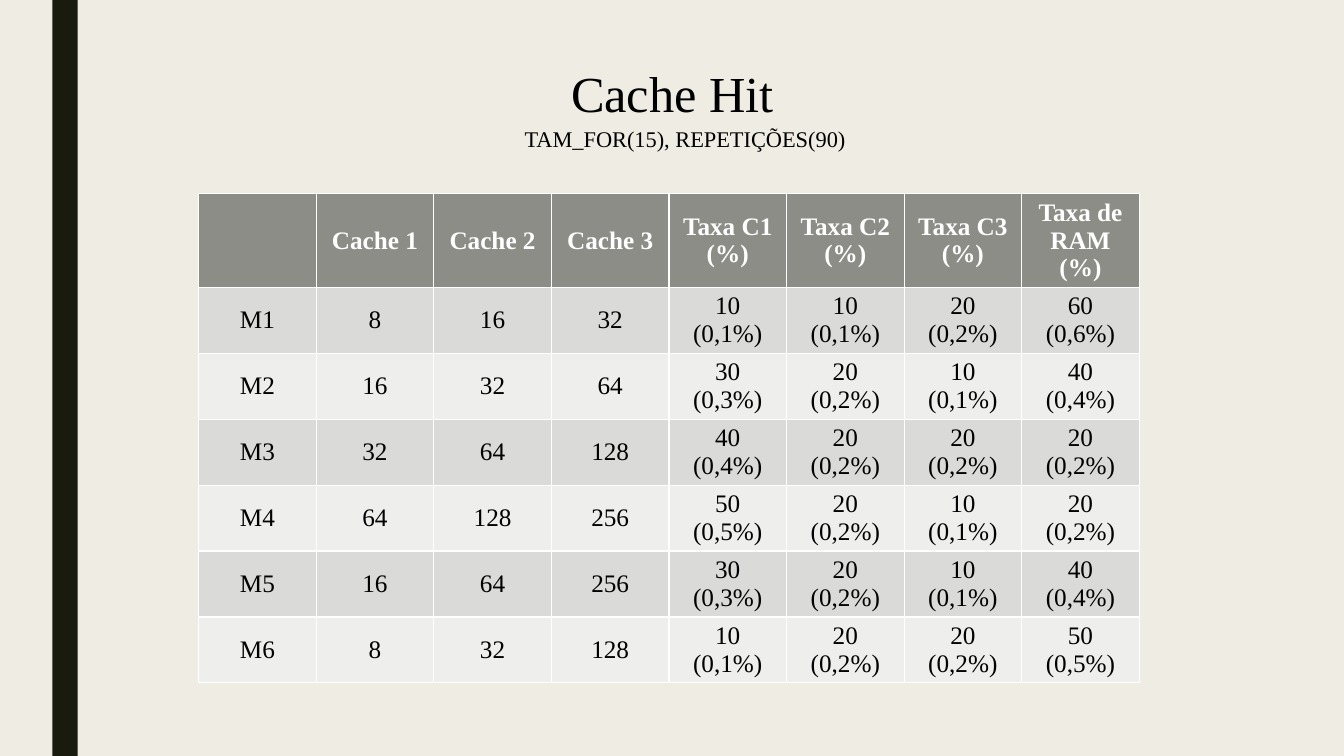
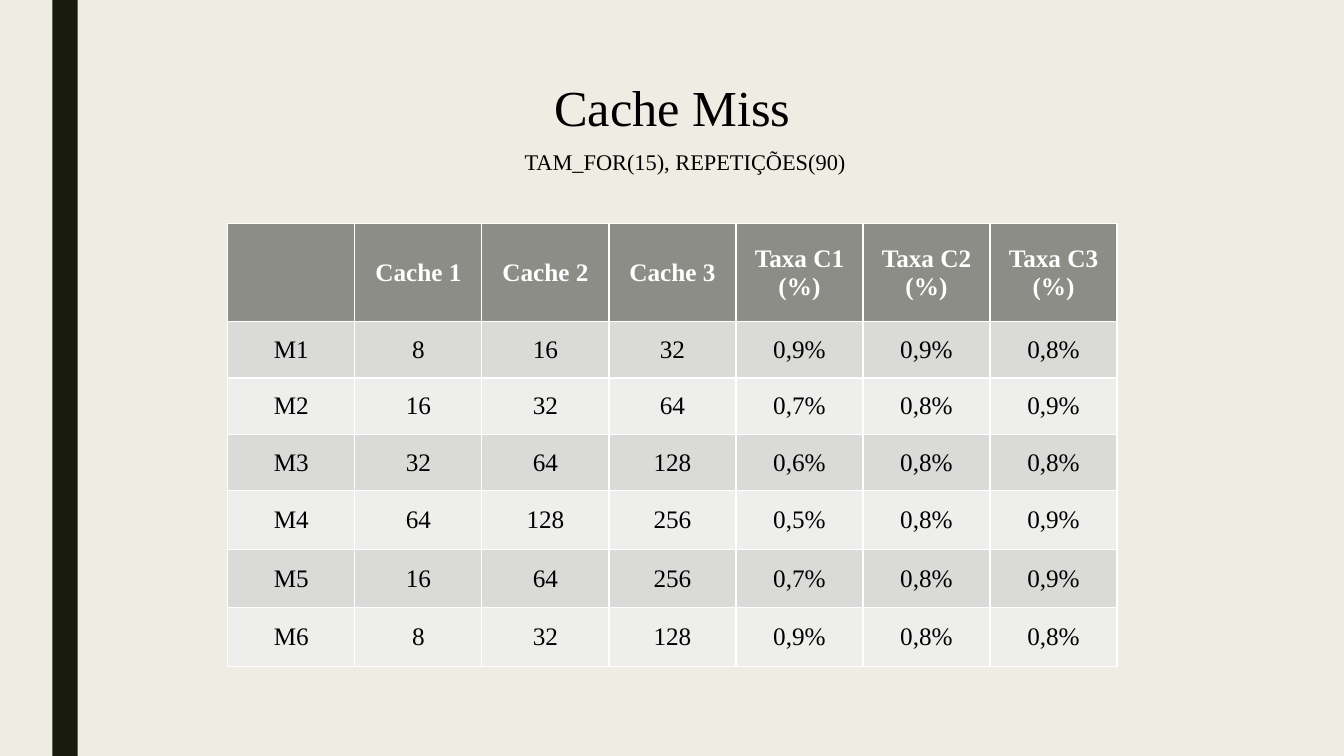
from pptx import Presentation
from pptx.dml.color import RGBColor
from pptx.enum.shapes import MSO_SHAPE
from pptx.enum.text import MSO_ANCHOR, PP_ALIGN
from pptx.util import Inches, Pt

RECT = MSO_SHAPE.RECTANGLE
MIDDLE = MSO_ANCHOR.MIDDLE
CENTER = PP_ALIGN.CENTER

FONT = "Times New Roman"
COLORS = {
    "background": "EFEDE3",
    "bar": "191B0E",
    "header": "8C8D86",
    "odd": "DADBD9",
    "even": "EEEEED",
    "text": "000000",
    "header_text": "FFFFFF",
}


def color(name):
    return RGBColor.from_string(COLORS[name])


def set_text(tf, text, size, color_name="text", bold=False):
    tf.text = text
    for p in tf.paragraphs:
        p.alignment = CENTER
        p.font.size = Pt(size)
        for r in p.runs:
            r.font.name = FONT
            r.font.size = Pt(size)
            r.font.bold = bold
            r.font.color.rgb = color(color_name)


# Measurements: name, cache sizes, hits per cache level, accesses to RAM
machines = [
    ("M1", (8, 16, 32), (10, 10, 20), 60),
    ("M2", (16, 32, 64), (30, 20, 10), 40),
    ("M3", (32, 64, 128), (40, 20, 20), 20),
    ("M4", (64, 128, 256), (50, 20, 10), 20),
    ("M5", (16, 64, 256), (30, 20, 10), 40),
    ("M6", (8, 32, 128), (10, 20, 20), 50),
]
headers = ["", "Cache 1", "Cache 2", "Cache 3",
           "Taxa C1 (%)", "Taxa C2\n(%)", "Taxa C3\n(%)"]

# Table contents; a miss rate is what remains of the hit rate
hit_rows = [headers + ["Taxa de RAM (%)"]]
miss_rows = [headers]
for name, sizes, hits, ram in machines:
    hit_rows.append([name, *sizes] + [f"{n} (0,{n // 10}%)" for n in (*hits, ram)])
    miss_rows.append([name, *sizes] + [f"0,{10 - n // 10}%" for n in hits])

# Title, title top, subtitle top, table left, top and width, row heights, rows
pages = [
    ("Cache Hit", 0.57, 1.19, 1.97, 1.92, 9.33, [0.93] + [0.65] * 6, hit_rows),
    ("Cache Miss", 0.71, 1.42, 2.26, 2.22, 8.82,
     [0.97] + [0.56] * 3 + [0.58] * 3, miss_rows),
]

prs = Presentation()
prs.slide_width = Inches(13.33)
prs.slide_height = Inches(7.5)

# Shared background
fill = prs.slide_master.background.fill
fill.solid()
fill.fore_color.rgb = color("background")

for title, title_top, subtitle_top, left, top, width, heights, rows in pages:
    s = prs.slides.add_slide(prs.slide_layouts[6])

    # Side bar
    bar = s.shapes.add_shape(RECT, Inches(0.52), 0, Inches(0.25), prs.slide_height)
    bar.shadow.inherit = False
    bar.fill.solid()
    bar.fill.fore_color.rgb = color("bar")
    bar.line.fill.background()

    # Table
    table = s.shapes.add_table(len(rows), len(rows[0]), Inches(left), Inches(top),
                               Inches(width), Inches(sum(heights))).table
    for i, values in enumerate(rows):
        table.rows[i].height = Inches(heights[i])
        is_header = i == 0
        row_fill = "header" if is_header else "odd" if i % 2 else "even"
        text_color = "header_text" if is_header else "text"
        for j, value in enumerate(values):
            cell = table.cell(i, j)
            cell.vertical_anchor = MIDDLE
            cell.fill.solid()
            cell.fill.fore_color.rgb = color(row_fill)
            set_text(cell.text_frame, str(value), 18, text_color, is_header)

    # Title and subtitle
    for text, x, y, w, h, size in [
        (title, 2.71, title_top, 7.92, 0.71, 36),
        ("TAM_FOR(15), REPETIÇÕES(90)", 4.5, subtitle_top, 4.59, 0.37, 16),
    ]:
        tf = s.shapes.add_textbox(Inches(x), Inches(y), Inches(w), Inches(h)).text_frame
        tf.word_wrap = True
        set_text(tf, text, size)

prs.save("out.pptx")
